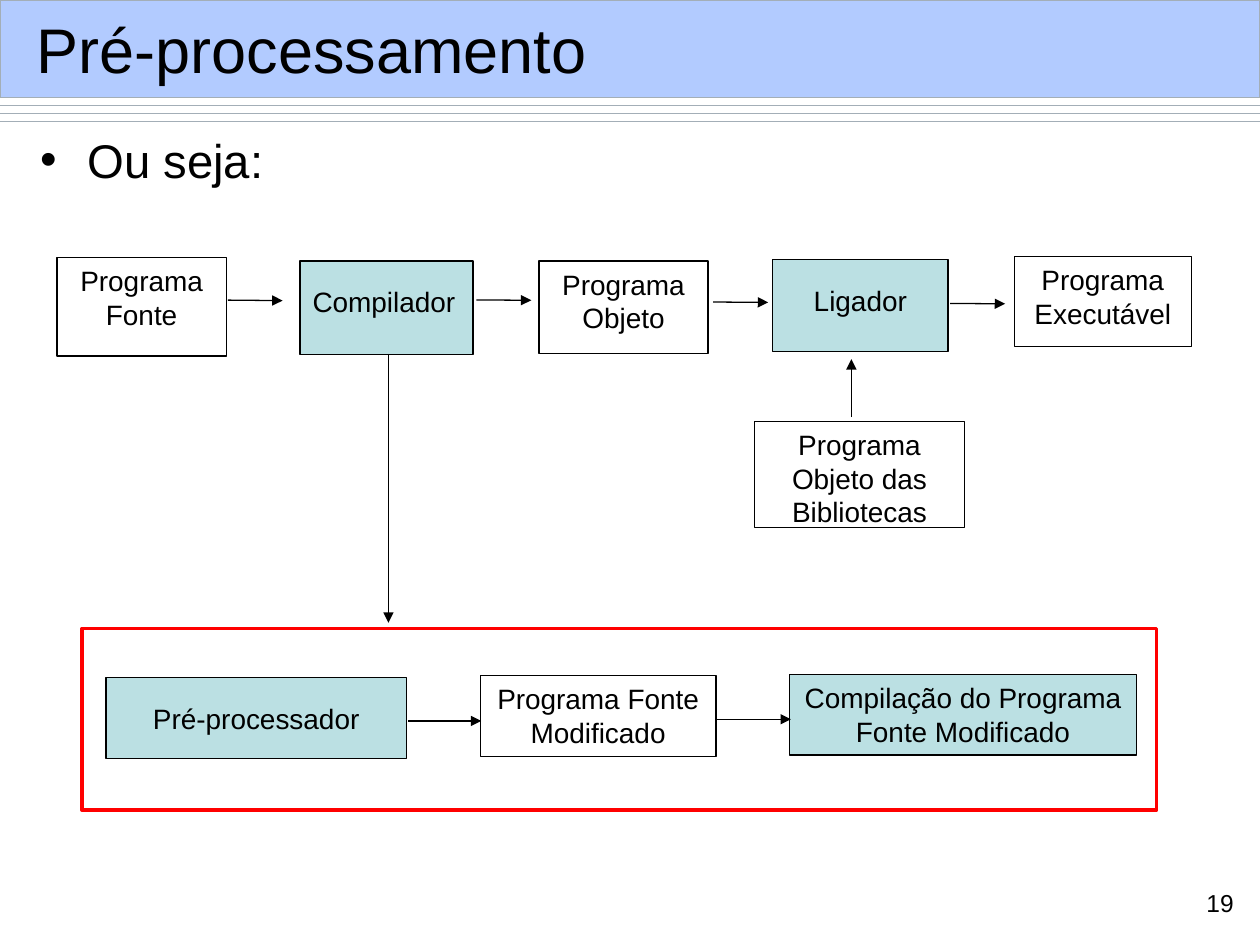
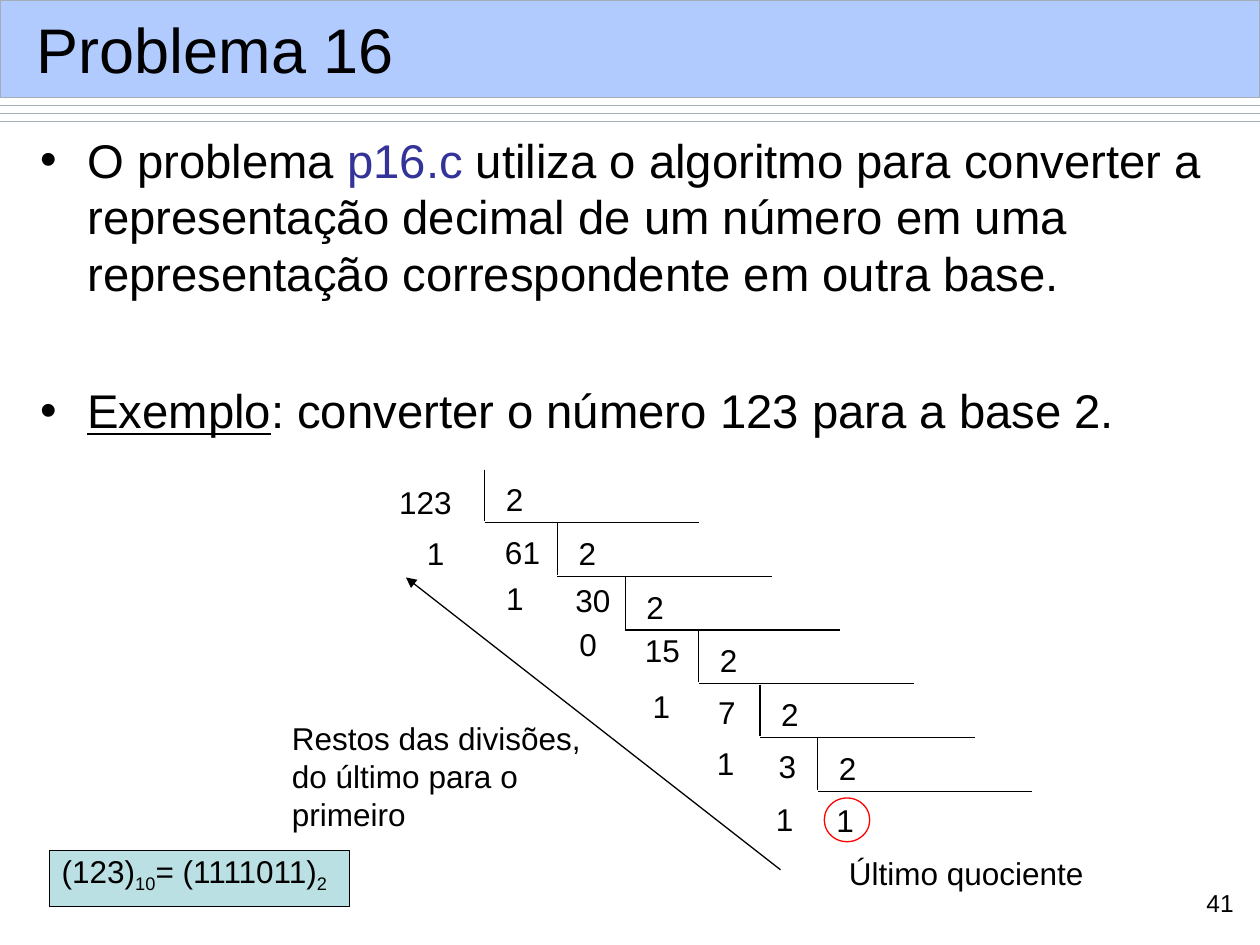
from dataclasses import dataclass
from typing import Any, NamedTuple, Optional

from lxml import etree
from pptx import Presentation
from pptx.dml.color import RGBColor
from pptx.enum import shapes, text
from pptx.oxml import ns
from pptx.util import Pt

COLORS = {
    "band": "6699FF", "rule": "A3AEB7", "ink": "000000", "paper": "FFFFFF",
    "tool": "BBE0E3", "highlight": "FF0000", "file": "333399",
}
FONT = "Arial"
SLIDE_W, SLIDE_H = 720, 540
LEFT, CENTER, RIGHT = text.PP_ALIGN.LEFT, text.PP_ALIGN.CENTER, text.PP_ALIGN.RIGHT
TOP, MIDDLE = text.MSO_ANCHOR.TOP, text.MSO_ANCHOR.MIDDLE
LINE_PITCH = 1.2  # line height as a multiple of the text size


class Box(NamedTuple):
    left: float
    top: float
    width: float
    height: float

    def points(self) -> list[Pt]:
        return [Pt(length) for length in self]


class Span(NamedTuple):
    text: str
    color: str = "ink"
    underline: bool = False
    subscript: bool = False


class Arrow(NamedTuple):
    x1: float
    y1: float
    x2: float
    y2: float


@dataclass
class Stage:
    label: str
    box: Box
    fill: str = "paper"
    align: Any = CENTER
    anchor: Any = TOP
    inset_top: float = 3.6


@dataclass
class Division:
    bar_x: float
    dividend_at: tuple[float, float]
    remainder_at: tuple[float, float]


# ---- Shared helpers ----
def rgb(name: str) -> RGBColor:
    return RGBColor.from_string(COLORS[name])


def set_all(target: Any, values: dict[str, Any]) -> None:
    for attribute, value in values.items():
        setattr(target, attribute, value)


def sub(parent: Any, tag: str, **attributes: str) -> Any:
    return etree.SubElement(parent, ns.qn(tag), attributes)


def write(frame: Any, paragraphs: list[list[Span]], size: float, align: Any = LEFT,
          anchor: Any = TOP, wrap: bool = True, inset_top: float = 3.6) -> None:
    set_all(frame, {
        "word_wrap": wrap, "vertical_anchor": anchor,
        "margin_left": Pt(7.2), "margin_right": Pt(7.2),
        "margin_top": Pt(inset_top), "margin_bottom": Pt(3.6),
        "auto_size": text.MSO_AUTO_SIZE.NONE if wrap else text.MSO_AUTO_SIZE.SHAPE_TO_FIT_TEXT,
    })
    for index, spans in enumerate(paragraphs):
        paragraph = frame.paragraphs[0] if index == 0 else frame.add_paragraph()
        set_all(paragraph, {"alignment": align, "line_spacing": Pt(size * LINE_PITCH)})
        for span in spans:
            run = paragraph.add_run()
            run.text = span.text
            set_all(run.font, {"name": FONT, "size": Pt(size), "bold": False,
                               "underline": span.underline})
            run.font.color.rgb = rgb(span.color)
            if span.subscript:
                run.font._element.set("baseline", "-25000")


def add_text(slide: Any, box: Box, paragraphs: list[list[Span]], size: float,
             **options: Any) -> Any:
    frame = slide.shapes.add_textbox(*box.points()).text_frame
    write(frame, paragraphs, size, **options)
    return frame


def add_figure(slide: Any, box: Box, fill: Optional[str], line: str = "ink",
               weight: float = 0.75, kind: Any = shapes.MSO_SHAPE.RECTANGLE) -> Any:
    figure = slide.shapes.add_shape(kind, *box.points())
    figure.shadow.inherit = False
    if fill:
        figure.fill.solid()
        figure.fill.fore_color.rgb = rgb(fill)
    else:
        figure.fill.background()
    figure.line.color.rgb = rgb(line)
    figure.line.width = Pt(weight)
    return figure


def add_line(slide: Any, ends: Arrow, color: str = "ink", arrow: bool = False) -> None:
    line = slide.shapes.add_connector(shapes.MSO_CONNECTOR.STRAIGHT, *map(Pt, ends))
    line.line.color.rgb = rgb(color)
    line.line.width = Pt(0.75)
    if arrow:
        sub(line.line._get_or_add_ln(), "a:tailEnd", type="triangle")
    sub(line._element.spPr, "a:effectLst")


def add_bullets(slide: Any, paragraphs: list[list[Span]], gap: float = 6.8) -> None:
    frame = add_text(slide, Box(15.8, 71.3, 697, 449), paragraphs, 27)
    for index, paragraph in enumerate(frame.paragraphs):
        if index:
            paragraph.space_before = Pt(gap)
        properties = paragraph._p.get_or_add_pPr()
        properties.set("marL", str(Pt(27)))
        properties.set("indent", str(-Pt(27)))
        sub(sub(properties, "a:buClr"), "a:srgbClr", val=COLORS["ink"])
        sub(properties, "a:buFont", typeface=FONT)
        sub(properties, "a:buChar", char="•")


def add_slide(deck: Any, title: str, number: int) -> Any:
    slide = deck.slides.add_slide(deck.slide_layouts[5])
    # Rules and translucent band, with the title in front of them
    for y in (60.3, 64.8, 69.3):
        add_line(slide, Arrow(0, y, SLIDE_W, y), "rule")
    band = add_figure(slide, Box(0, 0, SLIDE_W, 55.6), "band", "rule")
    tint = band._element.spPr.find(ns.qn("a:solidFill")).find(ns.qn("a:srgbClr"))
    sub(tint, "a:alpha", val="50000")
    heading = slide.shapes.title
    slide.shapes._spTree.append(heading._element)
    places = Box(13.7, 6.5, 694, 42.5).points()
    set_all(heading, dict(zip(("left", "top", "width", "height"), places)))
    write(heading.text_frame, [[Span(title)]], 36, anchor=MIDDLE)
    # Page number
    add_text(slide, Box(677.5, 504, 34.6, 25.9), [[Span(str(number))]], 14, align=RIGHT)
    return slide


# ---- Slide: preprocessing ----
STAGES = [
    Stage("Programa Fonte", Box(32.5, 147.3, 96.8, 56.2)),
    Stage("Compilador", Box(171.5, 149.2, 98.8, 53.3), "tool", LEFT, inset_top=13.6),
    Stage("Programa Objeto", Box(308, 149.2, 96.6, 52.7)),
    Stage("Ligador", Box(441.5, 148.3, 100.2, 52.5), "tool", inset_top=13.6),
    Stage("Programa Executável", Box(579.6, 146.5, 101.2, 51.5)),
    Stage("Programa Objeto das Bibliotecas", Box(431.3, 240.8, 119.8, 60.6)),
    Stage("Pré-processador", Box(60.5, 387.2, 171.8, 46.2), "tool", anchor=MIDDLE),
    Stage("Programa Fonte Modificado", Box(274.4, 386.2, 134.8, 46.1)),
    Stage("Compilação do Programa Fonte Modificado", Box(451.3, 385.3, 198, 46.1), "tool"),
]
FLOWS = [
    Arrow(130.3, 171.5, 161.5, 171.8), Arrow(272.2, 171.4, 303.6, 171.6),
    Arrow(407.5, 172.6, 439, 172.8), Arrow(543, 173.4, 574.4, 173.6),
    Arrow(486.5, 238.4, 486.5, 205.2), Arrow(222, 202.2, 222, 355.9),
    Arrow(233.2, 412, 275, 412), Arrow(410, 411, 452, 411),
]


def build_preprocessing(deck: Any) -> None:
    slide = add_slide(deck, "Pré-processamento", 19)
    add_bullets(slide, [[Span("Ou seja:")]])
    for stage in STAGES:
        figure = add_figure(slide, stage.box, stage.fill)
        write(figure.text_frame, [[Span(stage.label)]], 16, align=stage.align,
              anchor=stage.anchor, inset_top=stage.inset_top)
    for flow in FLOWS:
        add_line(slide, flow, arrow=True)
    add_figure(slide, Box(46.8, 359.2, 614.2, 103.7), None, "highlight", 2)


# ---- Slide: base conversion ----
NUMBER, BASE = 123, 2
FIRST_BAR_Y, BAR_STEP = 268.4, 30.7
BAR_HEIGHT, RULE_WIDTH = 29.5, 122.7
DIVISIONS = [
    Division(277, (221, 272.2), (236.9, 301.7)),
    Division(318.5, (281.5, 301), (282.2, 327.6)),
    Division(357.3, (321.8, 328.3), (324, 353.5)),
    Division(399.3, (361.4, 357.1), (365.8, 388.8)),
    Division(434.3, (403.2, 392.4), (402.5, 421.9)),
    Division(467.3, (437.8, 423.4), (436.3, 453.6)),
]
LAST_QUOTIENT_AT = (470.9, 454.3)


def add_number(slide: Any, value: int, left: float, top: float) -> None:
    label = str(value)
    add_text(slide, Box(left, top, 14.4 + 10 * len(label), 28.8), [[Span(label)]], 18,
             wrap=False)


def build_conversion(deck: Any) -> None:
    slide = add_slide(deck, "Problema 16", 41)
    add_bullets(slide, [
        [Span("O problema"), Span(" p16.c", "file"),
         Span(" utiliza o algoritmo para converter a representação decimal de um "
              "número em uma representação correspondente em outra base.")],
        [Span("Exemplo", underline=True), Span(": converter o número 123 para a base 2.")],
    ], gap=46)

    # Staircase of divisions
    dividend = NUMBER
    for index, step in enumerate(DIVISIONS):
        x, y = step.bar_x, FIRST_BAR_Y + index * BAR_STEP
        rule_y = y + BAR_HEIGHT + 0.7
        add_line(slide, Arrow(x, y, x, y + BAR_HEIGHT))
        add_line(slide, Arrow(x, rule_y, x + RULE_WIDTH, rule_y))
        add_number(slide, BASE, x + 5, y + 2.5)
        quotient, remainder = divmod(dividend, BASE)
        add_number(slide, dividend, *step.dividend_at)
        add_number(slide, remainder, *step.remainder_at)
        dividend = quotient
    add_number(slide, dividend, *LAST_QUOTIENT_AT)

    # Reading order and result
    add_figure(slide, Box(471, 456, 26, 25), None, "highlight", kind=shapes.MSO_SHAPE.OVAL)
    add_line(slide, Arrow(446, 497, 232, 330), arrow=True)
    add_text(slide, Box(478, 484.6, 148.3, 28.8), [[Span("Último quociente")]], 18, wrap=False)
    add_text(slide, Box(159.8, 407.5, 213.1, 50.4),
             [[Span("Restos das divisões,")], [Span("do último para o primeiro")]], 18,
             wrap=False)
    result = add_figure(slide, Box(28.2, 486, 171.5, 32), "tool")
    write(result.text_frame, [[Span("(123)"), Span("10", subscript=True),
                               Span("= (1111011)"), Span("2", subscript=True)]], 18)


def main() -> None:
    deck = Presentation()
    set_all(deck, {"slide_width": Pt(SLIDE_W), "slide_height": Pt(SLIDE_H)})
    build_preprocessing(deck)
    build_conversion(deck)
    deck.save("out.pptx")


if __name__ == "__main__":
    main()
